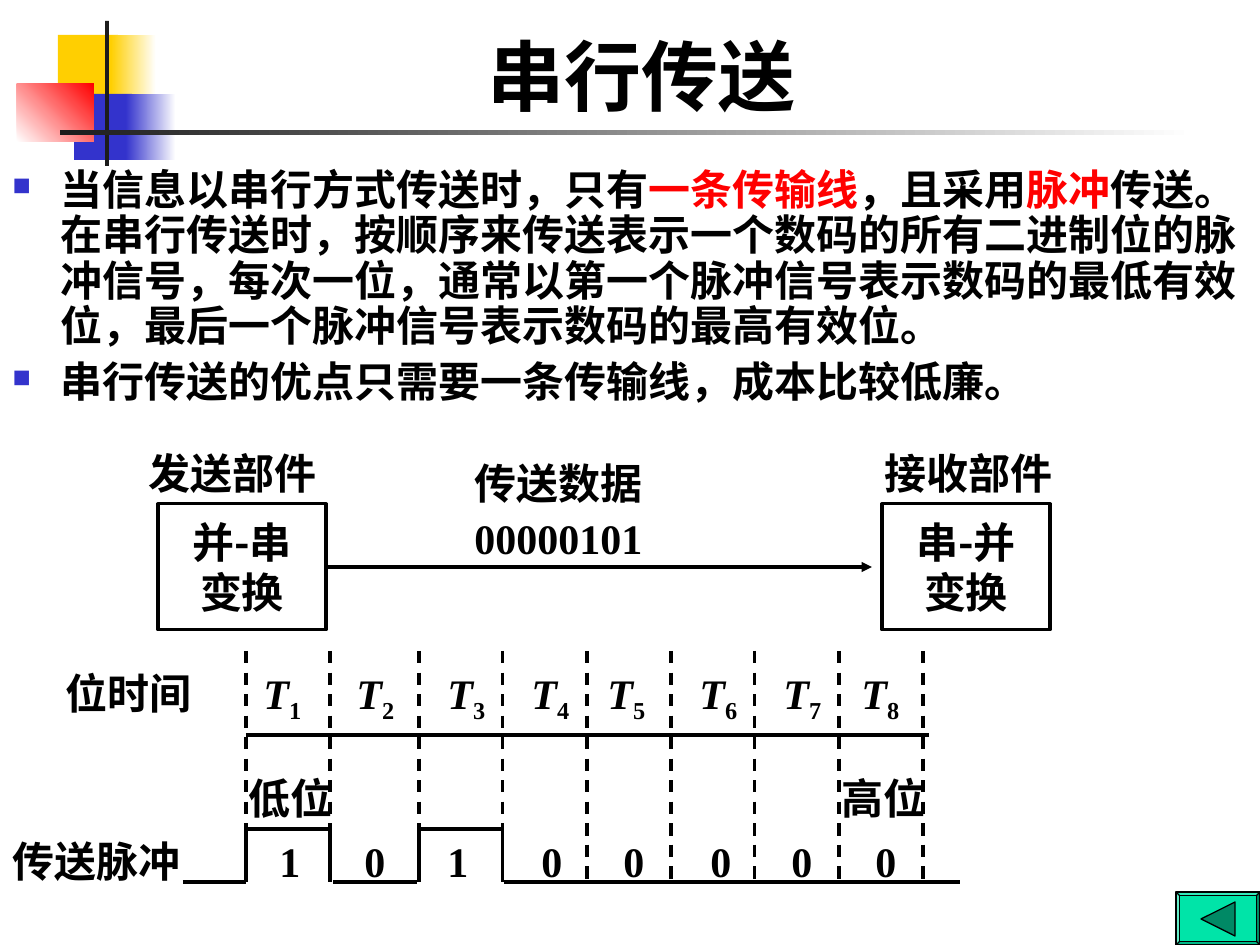
from dataclasses import dataclass
from lxml.etree import SubElement
from pptx import Presentation
from pptx.dml.color import RGBColor
from pptx.enum.dml import MSO_LINE
from pptx.enum.shapes import MSO_CONNECTOR, MSO_SHAPE
from pptx.enum.text import MSO_ANCHOR, MSO_AUTO_SIZE, PP_ALIGN
from pptx.oxml.ns import qn
from pptx.util import Pt


@dataclass(frozen=True)
class Theme:
    black: str = "000000"
    ink: str = "1C1C1C"
    white: str = "FFFFFF"
    red: str = "FF0000"
    yellow: str = "FFCF01"
    blue: str = "3333CC"
    green: str = "00E4A8"
    dark_green: str = "008965"
    sans: str = "Karla"
    serif: str = "Times New Roman"
    chinese: str = "Noto Sans CJK SC"
    title_size: int = 44
    text_size: int = 24
    line_width: float = 1.75


THEME = Theme()
SCALE = 914400 / 126

# Content: a span is (text, options)
TITLE = "串行传送"
BULLETS = [
    [("当信息以串行方式传送时，只有", {}),
     ("一条传输线", {"color": THEME.red}),
     ("，且采用", {}),
     ("脉冲", {"color": THEME.red}),
     ("传送。", {}),
     ("在串行传送时，按顺序来传送表示一个数码的所有二进制位的脉冲信号，"
      "每次一位，通常以第一个脉冲信号表示数码的最低有效位，"
      "最后一个脉冲信号表示数码的最高有效位。", {"font": THEME.serif})],
    [("串行传送的优点只需要一条传输线，成本比较低廉。", {})],
]
LABELS = [  # text, left, top, width
    ("发送部件", 136, 441, 199),
    ("接收部件", 872, 441, 199),
    ("位时间", 53, 661, 179),
    ("传送脉冲", 0, 829, 220),
    ("低位", 236, 766, 147),
    ("高位", 829, 766, 147),
]
DATA = ["传送数据", "00000101"]
CONVERTERS = [(158, ["并-串", "变换"]), (882, ["串-并", "变换"])]
BITS = [("1", 267), ("0", 352), ("1", 435), ("0", 529),
        ("0", 611), ("0", 698), ("0", 779), ("0", 863)]
TIME_LEFTS = [251, 344, 435, 519, 595, 687, 771, 849]

# Timing diagram: cell edges, pulse levels and low stretches
EDGES = [246, 330] + [419 + 84 * step for step in range(7)]
HIGH, LOW = 829, 882
PULSES = [(EDGES[0], EDGES[1]), (EDGES[2], EDGES[3])]
LOW_RUNS = [(183, 246), (333, 417), (504, 960)]

ORNAMENTS = [  # left, top, width, height, first colour, last colour, angle
    (58, 35, 60, 66, THEME.yellow, None, 0),
    (111, 35, 45, 66, THEME.yellow, THEME.white, 0),
    (74, 94, 58, 66, THEME.blue, None, 0),
    (126, 94, 50, 66, THEME.blue, THEME.white, 0),
    (17, 84, 77, 58, THEME.white, THEME.red, 45),
    (105, 21, 4, 145, THEME.ink, None, 0),
    (60, 130, 1134, 5, THEME.ink, THEME.white, 0),
]


def px(value):
    return round(value * SCALE)


def rgb(color):
    return RGBColor.from_string(color)


def add_span(para, text, font=THEME.sans, color=THEME.black,
             size=THEME.text_size, italic=False, baseline=None):
    span = para.add_run()
    span.text = text
    span.font.name, span.font.size = font, Pt(size)
    span.font.bold, span.font.italic = True, italic
    span.font.color.rgb = rgb(color)
    properties = span.font._element
    SubElement(properties, qn("a:ea")).set("typeface", THEME.chinese)
    if baseline:
        properties.set("baseline", str(baseline))


def fill_frame(shape, paragraphs, align=PP_ALIGN.LEFT, gap=0):
    """Write paragraphs, each a list of spans, and return them."""
    frame = shape.text_frame
    for number, spans in enumerate(paragraphs):
        para = frame.paragraphs[0] if number == 0 else frame.add_paragraph()
        para.alignment = align
        if number:
            para.space_before = Pt(gap)
        for text, options in spans:
            add_span(para, text, **options)
    return frame.paragraphs


def add_text(slide, area, paragraphs, grow=True, **layout):
    box = slide.shapes.add_textbox(*map(px, area))
    box.text_frame.word_wrap = True
    box.text_frame.auto_size = (
        MSO_AUTO_SIZE.SHAPE_TO_FIT_TEXT if grow else MSO_AUTO_SIZE.NONE)
    fill_frame(box, paragraphs, **layout)
    return box


def paint(shape, color, line_width=None):
    shape.shadow.inherit = False
    shape.fill.solid()
    shape.fill.fore_color.rgb = rgb(color)
    if line_width:
        shape.line.color.rgb = rgb(THEME.black)
        shape.line.width = Pt(line_width)
    else:
        shape.line.fill.background()


def add_block(slide, area, color, line_width=None, kind=MSO_SHAPE.RECTANGLE):
    block = slide.shapes.add_shape(kind, *map(px, area))
    paint(block, color, line_width)
    return block


def add_line(slide, x1, y1, x2, y2, dashed=False):
    line = slide.shapes.add_connector(
        MSO_CONNECTOR.STRAIGHT, px(x1), px(y1), px(x2), px(y2))
    line.line.color.rgb = rgb(THEME.black)
    line.line.width = Pt(THEME.line_width)
    if dashed:
        line.line.dash_style = MSO_LINE.DASH
    SubElement(line._element.spPr, qn("a:effectLst"))
    return line


def add_ornaments(slide):
    for *area, first, last, angle in ORNAMENTS:
        block = add_block(slide, area, first)
        if last:
            block.fill.gradient()
            block.fill.gradient_angle = angle
            for stop, color in zip(block.fill.gradient_stops, (first, last)):
                stop.color.rgb = rgb(color)


def add_heading_and_bullets(slide):
    title = add_text(slide, (52, 10, 1179, 117),
                     [[(TITLE, {"size": THEME.title_size})]],
                     grow=False, align=PP_ALIGN.CENTER)
    title.text_frame.vertical_anchor = MSO_ANCHOR.BOTTOM
    body = add_text(slide, (0, 163, 1260, 268), BULLETS, grow=False, gap=6)
    for para in body.text_frame.paragraphs:
        para.line_spacing = 0.9
        properties = para._p.get_or_add_pPr()
        properties.set("marL", str(px(48)))
        properties.set("indent", str(px(-48)))
        color = SubElement(properties, qn("a:buClr"))
        SubElement(color, qn("a:srgbClr")).set("val", THEME.blue)
        SubElement(properties, qn("a:buSzPct")).set("val", "60000")
        SubElement(properties, qn("a:buChar")).set("char", "■")


def add_timing(slide):
    add_line(slide, EDGES[0], 735, 929, 735)
    for number, edge in enumerate(EDGES):
        add_line(slide, edge, 651, edge, HIGH if number < 4 else LOW, dashed=True)
    for left, right in PULSES:
        add_line(slide, left, HIGH, right, HIGH)
        for edge in (left, right):
            add_line(slide, edge, HIGH, edge, LOW)
    for left, right in LOW_RUNS:
        add_line(slide, left, LOW, right, LOW)
    for bit, left in BITS:
        add_text(slide, (left, 829, 73, 63), [[(bit, {"font": THEME.serif})]])
    for number, left in enumerate(TIME_LEFTS, 1):
        add_text(slide, (left, 661, 84, 71), [[
            ("T", {"font": THEME.serif, "italic": True}),
            (str(number), {"font": THEME.serif, "baseline": -25000})]])


def add_transfer(slide):
    boxes = []
    for left, lines in CONVERTERS:
        box = add_block(slide, (left, 504, 168, 126), THEME.white, THEME.line_width)
        box.text_frame.word_wrap = False
        box.text_frame.vertical_anchor = MSO_ANCHOR.MIDDLE
        fill_frame(box, [[(line, {"font": THEME.chinese})] for line in lines],
                   align=PP_ALIGN.CENTER)
        boxes.append(box)
    arrow = add_line(slide, 326, 567, 872, 567)
    arrow.begin_connect(boxes[0], 3)
    SubElement(arrow.line._get_or_add_ln(), qn("a:tailEnd")).set("type", "triangle")
    add_text(slide, (462, 451, 220, 118),
             [[(line, {"font": THEME.serif})] for line in DATA], gap=3)


def add_back_button(slide):
    button = add_block(slide, (1176, 892, 84, 53), THEME.green, 0.75, MSO_SHAPE.BEVEL)
    button.adjustments[0] = 0.07
    builder = slide.shapes.build_freeform(px(1201), px(919))
    builder.add_line_segments([(px(1235), px(902)), (px(1235), px(936))])
    paint(builder.convert_to_shape(), THEME.dark_green, 0.75)


def main():
    deck = Presentation()
    deck.slide_width, deck.slide_height = px(1260), px(945)
    page = deck.slides.add_slide(deck.slide_layouts[6])
    add_ornaments(page)
    add_heading_and_bullets(page)
    add_timing(page)
    add_transfer(page)
    for text, left, top, width in LABELS:
        add_text(page, (left, top, width, 63), [[(text, {})]])
    add_back_button(page)
    deck.save("out.pptx")


if __name__ == "__main__":
    main()
